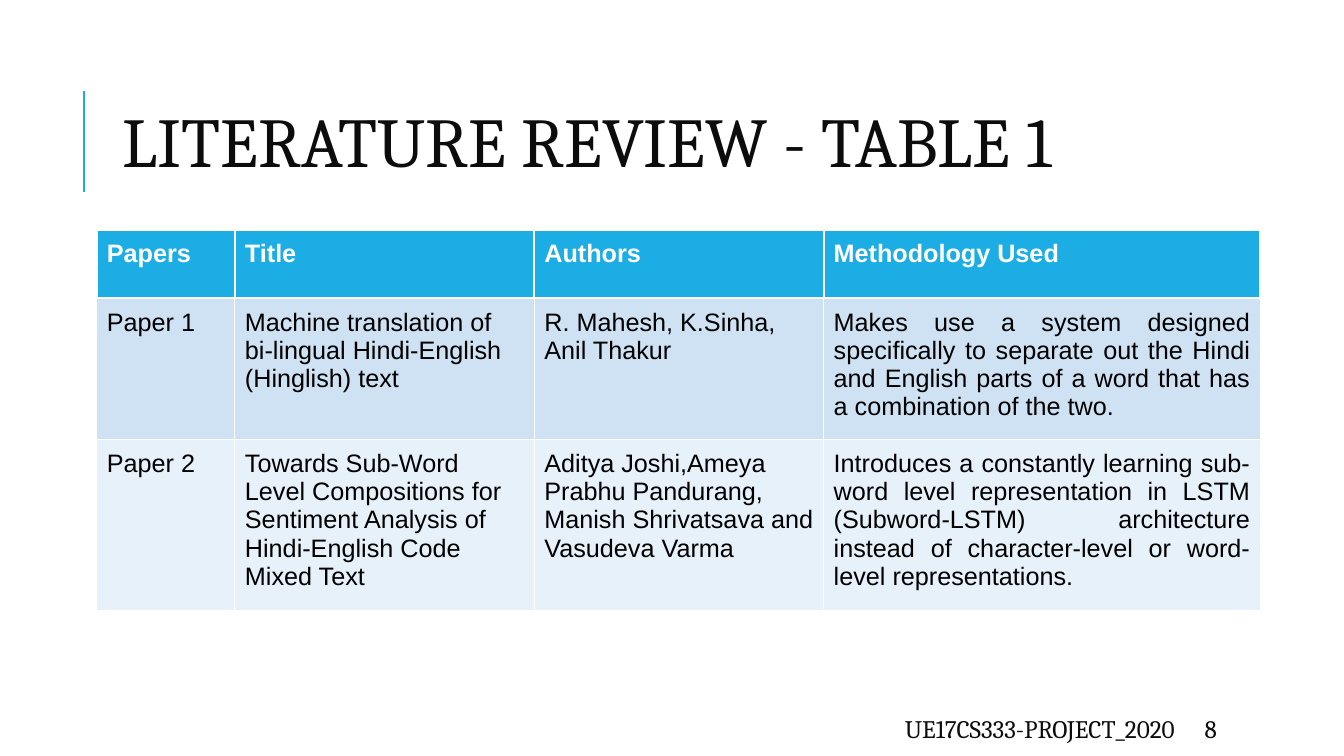
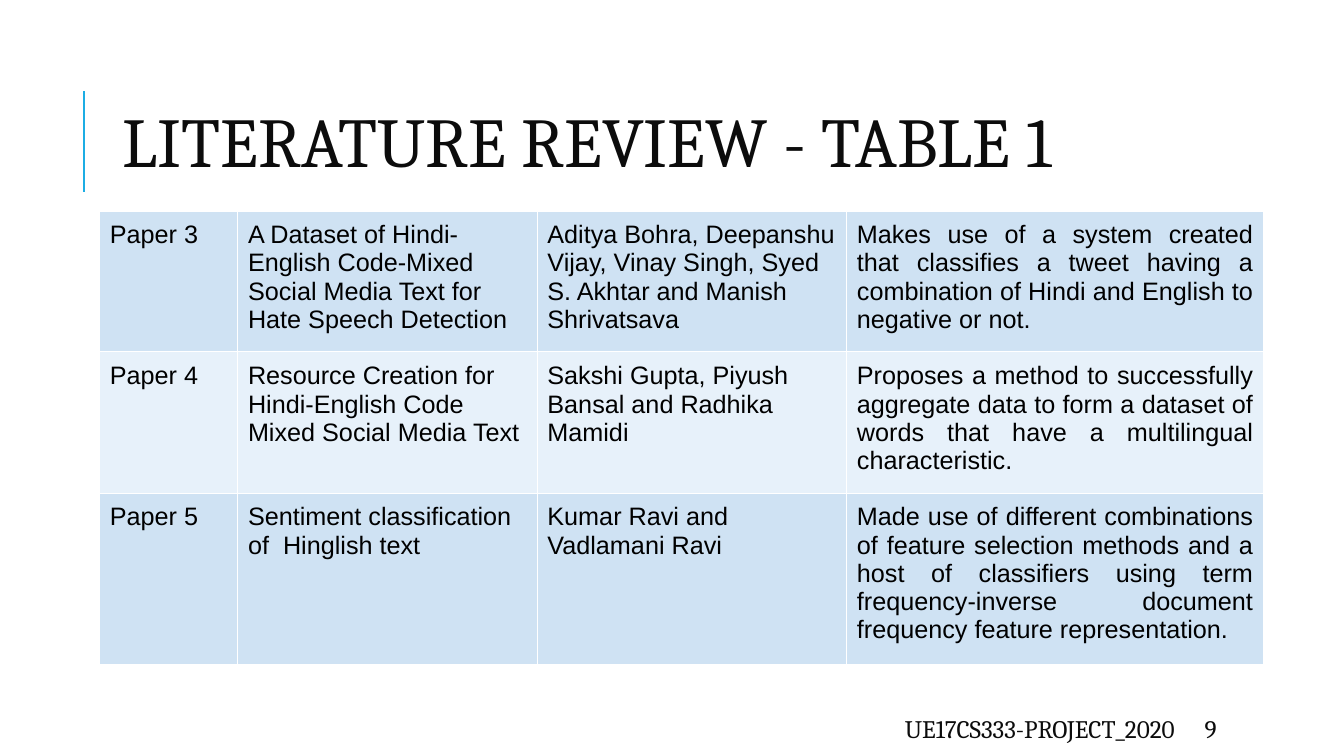
from lxml import etree
from pptx import Presentation
from pptx.dml.color import RGBColor
from pptx.enum.shapes import MSO_CONNECTOR
from pptx.enum.text import MSO_ANCHOR, PP_ALIGN
from pptx.oxml.ns import qn
from pptx.util import Inches, Pt

LEFT, RIGHT, JUSTIFY = PP_ALIGN.LEFT, PP_ALIGN.RIGHT, PP_ALIGN.JUSTIFY
MIDDLE, TOP = MSO_ANCHOR.MIDDLE, MSO_ANCHOR.TOP
STRAIGHT = MSO_CONNECTOR.STRAIGHT

ACCENT, INK, BLACK, WHITE = "1CADE4", "0C0C0C", "000000", "FFFFFF"
BANDS = ("CFE2F3", "E7F1FA")
TITLE = "LITERATURE REVIEW - TABLE 1"
FOOTER = "UE17CS333-PROJECT_2020"

HEADER = ["Papers", "Title", "Authors", "Methodology Used"]
FIRST_PAPERS = [
    ["Paper 1",
     "Machine translation of bi-lingual Hindi-English (Hinglish) text",
     "R. Mahesh, K.Sinha, Anil Thakur",
     "Makes use a system designed specifically to separate out the Hindi "
     "and English parts of a word that has a combination of the two."],
    ["Paper 2",
     "Towards Sub-Word Level Compositions for Sentiment Analysis of "
     "Hindi-English Code Mixed Text",
     "Aditya Joshi,Ameya Prabhu Pandurang, Manish Shrivatsava and "
     "Vasudeva Varma",
     "Introduces a constantly learning sub-word level representation in LSTM "
     "(Subword-LSTM) architecture instead of character-level or word-level "
     "representations."],
]
LATER_PAPERS = [
    ["Paper 3",
     "A Dataset of Hindi-English Code-Mixed Social Media Text for Hate "
     "Speech Detection",
     "Aditya Bohra, Deepanshu Vijay, Vinay Singh, Syed S. Akhtar and Manish "
     "Shrivatsava",
     "Makes use of a system created that classifies a tweet having a "
     "combination of Hindi and English to negative or not."],
    ["Paper 4",
     "Resource Creation for Hindi-English Code Mixed Social Media Text",
     "Sakshi Gupta, Piyush Bansal and Radhika Mamidi",
     "Proposes a method to successfully aggregate data to form a dataset of "
     "words that have a multilingual characteristic."],
    ["Paper 5",
     "Sentiment classification of  Hinglish text",
     "Kumar Ravi and Vadlamani Ravi",
     "Made use of different combinations of feature selection methods and a "
     "host of classifiers using term frequency-inverse document frequency "
     "feature representation."],
]


def rgb(value):
    return RGBColor.from_string(value)


def set_all(target, values):
    for name, value in values.items():
        setattr(target, name, value)


class Deck:
    def __init__(self):
        self.prs = Presentation()
        self.prs.slide_width = Inches(13.33)
        self.prs.slide_height = Inches(7.5)
        self.s = None

    def slide(self, number):
        self.s = self.prs.slides.add_slide(self.prs.slide_layouts[6])
        self.line(0.83, 1.9, 0.83, 0.9)
        self.text(TITLE, 1.12, 0.64, 10.63, 1.64, size=50, spacing=0.8)
        self.text(FOOTER, 5.3, 7.08, 6.45, 0.3, align=RIGHT)
        self.text(str(number), 11.85, 7.08, 1.06, 0.3)

    def line(self, x1, y1, x2, y2):
        sp = self.s.shapes.add_connector(
            STRAIGHT, Inches(x1), Inches(y1), Inches(x2), Inches(y2))
        sp.line.color.rgb = rgb(ACCENT)
        sp.line.width = Pt(1.5)
        props = sp._element.find(qn("p:spPr"))
        etree.SubElement(props, qn("a:effectLst"))

    def fill_text(self, tf, text, color, font, size=18, align=LEFT,
                  spacing=1.0, bold=False):
        p = tf.paragraphs[0]
        set_all(p, {"alignment": align, "line_spacing": spacing})
        r = p.add_run()
        r.text = text
        set_all(r.font, {"name": font, "size": Pt(size), "bold": bold})
        r.font.color.rgb = rgb(color)

    def text(self, text, x, y, w, h, **style):
        sp = self.s.shapes.add_textbox(
            Inches(x), Inches(y), Inches(w), Inches(h))
        tf = sp.text_frame
        set_all(tf, {"word_wrap": True, "vertical_anchor": MIDDLE})
        self.fill_text(tf, text, INK, "Cambria", **style)

    def border(self, cell, edge, width):
        props = cell._tc.get_or_add_tcPr()
        ln = etree.SubElement(props, qn(f"a:ln{edge}"), w=str(Pt(width)))
        fill = etree.SubElement(ln, qn("a:solidFill"))
        etree.SubElement(fill, qn("a:srgbClr"), val=WHITE)

    def cell(self, cell, text, fill, heavy_edges, **style):
        margins = ("margin_left", "margin_right", "margin_top", "margin_bottom")
        set_all(cell, dict.fromkeys(margins, Inches(0.1)))
        cell.vertical_anchor = TOP
        for edge in "LRTB":
            self.border(cell, edge, 1.5 if edge in heavy_edges else 0.75)
        cell.fill.solid()
        cell.fill.fore_color.rgb = rgb(fill)
        self.fill_text(cell.text_frame, text, font="Arial", **style)

    def table(self, papers, x, y, widths, heights, header=None):
        rows = ([header] if header else []) + papers
        table = self.s.shapes.add_table(
            len(rows), len(widths), Inches(x), Inches(y),
            Inches(sum(widths)), Inches(sum(heights))).table
        set_all(table, {"first_row": bool(header), "horz_banding": False})
        for column, width in zip(table.columns, widths):
            column.width = Inches(width)
        for row, height in zip(table.rows, heights):
            row.height = Inches(height)
        if header:
            for i, text in enumerate(header):
                self.cell(table.cell(0, i), text, ACCENT, "LRTB",
                          color=WHITE, bold=True)
        first = len(rows) - len(papers)
        for j, paper in enumerate(papers):
            for i, text in enumerate(paper):
                self.cell(table.cell(first + j, i), text, BANDS[j % 2],
                          "" if j else "T", color=BLACK,
                          align=JUSTIFY if i == len(widths) - 1 else LEFT)


def main():
    deck = Deck()
    deck.slide(8)
    deck.table(FIRST_PAPERS, 0.96, 2.28, [1.37, 2.97, 2.87, 4.33],
               [0.68, 1.34, 1.68], header=HEADER)
    deck.slide(9)
    deck.table(LATER_PAPERS, 0.99, 2.09, [1.37, 2.97, 3.07, 4.13],
               [1.32, 1.32, 1.6])
    deck.prs.save("out.pptx")


if __name__ == "__main__":
    main()
